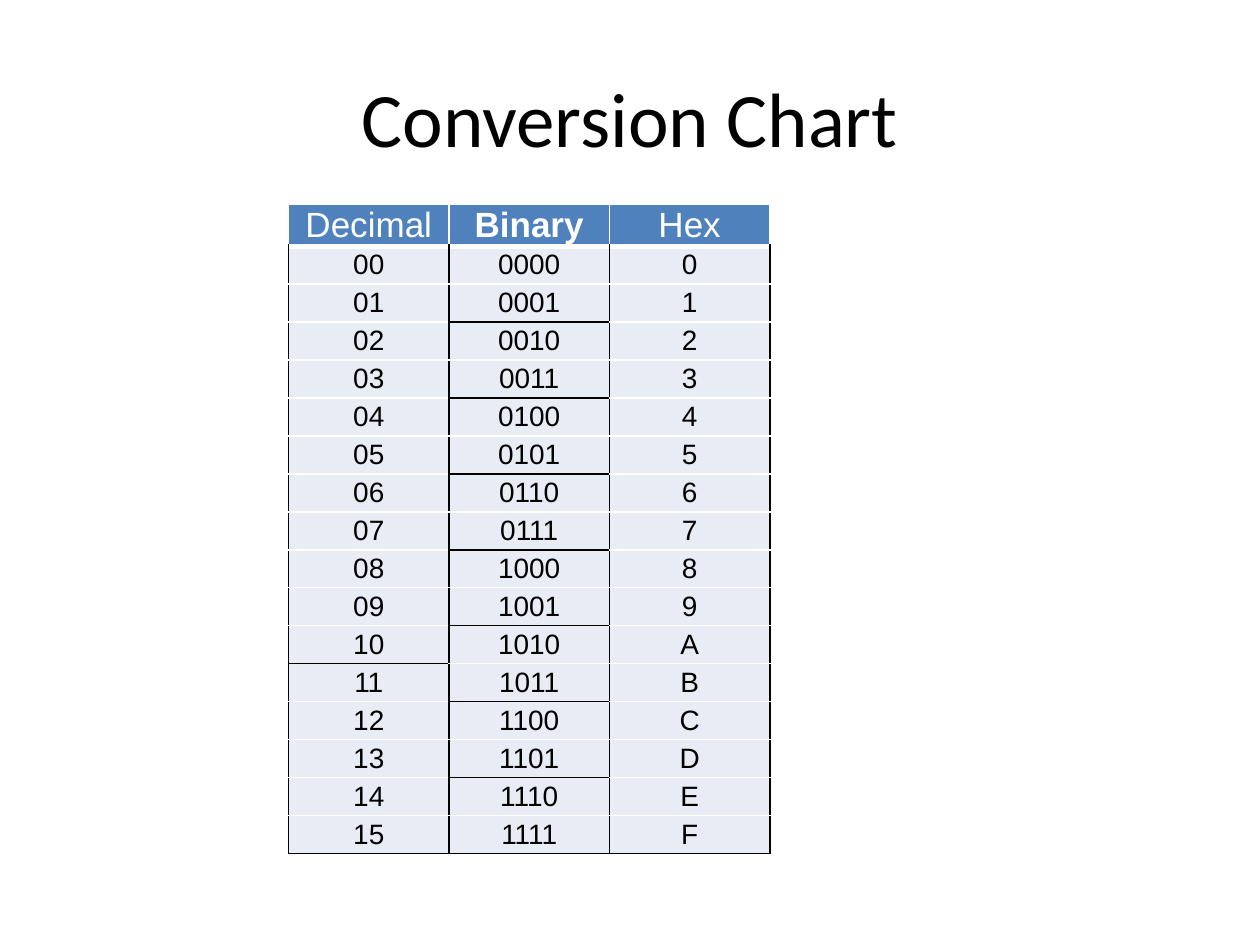
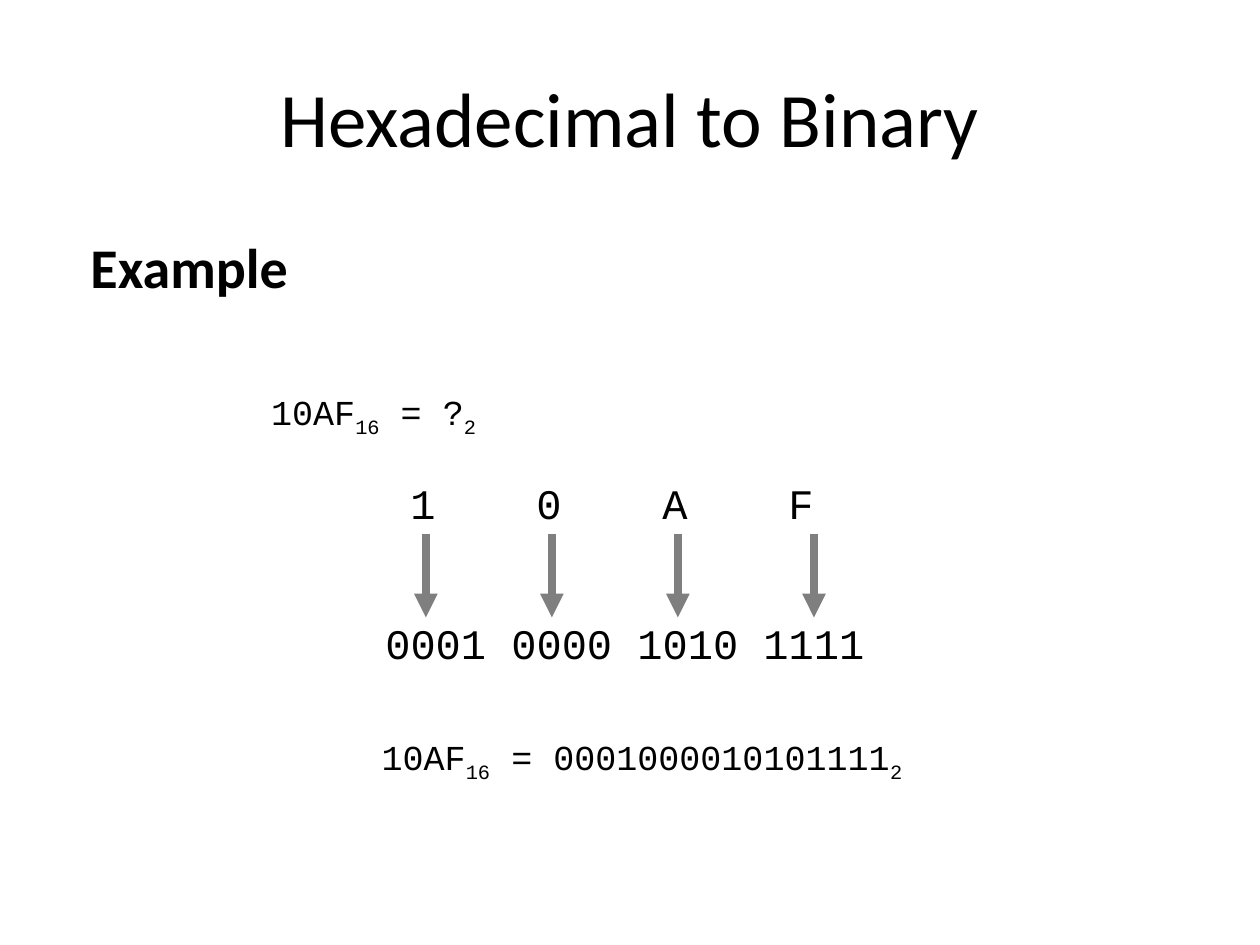
from dataclasses import dataclass

import lxml.etree
import pptx
import pptx.dml.color
import pptx.enum.shapes
import pptx.enum.text
import pptx.oxml.ns
import pptx.util

ALIGN = pptx.enum.text.PP_ALIGN
ANCHOR = pptx.enum.text.MSO_ANCHOR


@dataclass(frozen=True)
class Theme:
    ink: str = "000000"
    paper: str = "FFFFFF"
    header_fill: str = "4F81BD"
    body_fill: str = "E8ECF4"
    arrow: str = "7F7F7F"
    title_font: str = "Calibri"
    table_font: str = "Arial"
    code_font: str = "Courier New"
    title_size: float = 44
    heading_size: float = 32
    digit_size: float = 24
    equation_size: float = 20
    header_size: float = 20
    cell_size: float = 16
    thin_line: float = 1
    header_line: float = 3
    arrow_line: float = 4.5


THEME = Theme()

# The slide is a grid of 100 columns by 75 rows
SLIDE_WIDTH = pptx.util.Inches(10)
SLIDE_HEIGHT = pptx.util.Inches(7.5)
COLUMNS, ROWS = 100, 75


@dataclass(frozen=True)
class Area:
    left: float
    top: float
    width: float
    height: float


@dataclass(frozen=True)
class Style:
    font: str
    size: float
    color: str = THEME.ink
    bold: bool = False


@dataclass(frozen=True)
class Equation:
    area: Area
    answer: str


@dataclass(frozen=True)
class Edge:
    color: str
    width: float = THEME.thin_line


TITLE_AREA = Area(5, 3, 90, 12.5)
TITLE_STYLE = Style(THEME.title_font, THEME.title_size)
HEADING_STYLE = Style(THEME.title_font, THEME.heading_size, bold=True)
DIGIT_STYLE = Style(THEME.code_font, THEME.digit_size)
EQUATION_STYLE = Style(THEME.code_font, THEME.equation_size)
CELL_STYLE = Style(THEME.table_font, THEME.cell_size)

BLACK_EDGE = Edge(THEME.ink)
WHITE_EDGE = Edge(THEME.paper)
HEADER_EDGE = Edge(THEME.paper, THEME.header_line)

# Conversion table
TABLE_AREA = Area(22.9, 16.2, 38.2, 51.5)
HEADER_HEIGHT = 3.3
HEADERS = ("Decimal", "Binary", "Hex")
VALUES = range(16)

# Worked example
HEX_DIGITS = "10AF"
DIGIT_PITCH = 10
FIRST_DIGIT = 2
ARROW_COLUMNS = (33.8, 43.8, 53.8, 64.6)
ARROW_TOP, ARROW_BOTTOM = 42.4, 49
EQUATIONS = (
    Equation(Area(18.4, 30.5, 22.5, 4.4), "?"),
    Equation(Area(24.7, 57.9, 52.5, 4.4), "".join(f"{int(digit, 16):04b}" for digit in HEX_DIGITS)),
)


def across(columns: float) -> int:
    return round(SLIDE_WIDTH * columns / COLUMNS)


def down(rows: float) -> int:
    return round(SLIDE_HEIGHT * rows / ROWS)


def place(area: Area) -> tuple[int, int, int, int]:
    return across(area.left), down(area.top), across(area.width), down(area.height)


def rgb(color: str) -> pptx.dml.color.RGBColor:
    return pptx.dml.color.RGBColor.from_string(color)


def add_element(parent, tag: str, **attributes: str):
    return lxml.etree.SubElement(parent, pptx.oxml.ns.qn(tag), attributes)


def style_paragraph(paragraph, style: Style, align=ALIGN.LEFT) -> None:
    paragraph.alignment = align
    font = paragraph.font
    font.name, font.size, font.bold = style.font, pptx.util.Pt(style.size), style.bold
    font.color.rgb = rgb(style.color)


def add_text_frame(slide, area: Area, anchor=ANCHOR.TOP):
    frame = slide.shapes.add_textbox(*place(area)).text_frame
    frame.word_wrap = True
    frame.vertical_anchor = anchor
    return frame


def add_titled_slide(presentation, title: str):
    slide = presentation.slides.add_slide(presentation.slide_layouts[6])
    paragraph = add_text_frame(slide, TITLE_AREA, ANCHOR.MIDDLE).paragraphs[0]
    paragraph.text = title
    style_paragraph(paragraph, TITLE_STYLE, ALIGN.CENTER)
    return slide


def fill_cell(cell, text: str, style: Style, fill: str, edges: dict[str, Edge]) -> None:
    cell.margin_left = cell.margin_right = cell.margin_top = cell.margin_bottom = 0
    cell.vertical_anchor = ANCHOR.MIDDLE
    properties = cell._tc.get_or_add_tcPr()
    for side in "LRTB":
        edge = edges[side]
        line = add_element(properties, f"a:ln{side}", w=str(pptx.util.Pt(edge.width)))
        add_element(add_element(line, "a:solidFill"), "a:srgbClr", val=edge.color)
    cell.fill.solid()
    cell.fill.fore_color.rgb = rgb(fill)
    paragraph = cell.text_frame.paragraphs[0]
    paragraph.text = text
    style_paragraph(paragraph, style, ALIGN.CENTER)


def edge_below(value: int, column: int) -> Edge:
    """Binary values are ruled off in pairs; two-digit decimals after 10."""
    if value < 0:
        return HEADER_EDGE
    ruled = (column == 1 and value % 2 == 1) or (column == 0 and value == 10)
    return BLACK_EDGE if ruled or value == VALUES[-1] else WHITE_EDGE


def add_conversion_table(slide) -> None:
    shape = slide.shapes.add_table(len(VALUES) + 1, len(HEADERS), *place(TABLE_AREA))
    table = shape.table
    table.first_row = table.horz_banding = False
    for column in table.columns:
        column.width = across(TABLE_AREA.width / len(HEADERS))
    for row in table.rows:
        row.height = down((TABLE_AREA.height - HEADER_HEIGHT) / len(VALUES))
    table.rows[0].height = down(HEADER_HEIGHT)

    # Header row
    header_edges = dict.fromkeys("LRT", WHITE_EDGE) | {"B": HEADER_EDGE}
    for column, header in enumerate(HEADERS):
        style = Style(THEME.table_font, THEME.header_size, THEME.paper, header == "Binary")
        fill_cell(table.cell(0, column), header, style, THEME.header_fill, header_edges)

    # One row for each value
    for value in VALUES:
        for column, text in enumerate((f"{value:02d}", f"{value:04b}", f"{value:X}")):
            edges = {
                "L": BLACK_EDGE,
                "R": BLACK_EDGE,
                "T": edge_below(value - 1, column),
                "B": edge_below(value, column),
            }
            fill_cell(table.cell(value + 1, column), text, CELL_STYLE, THEME.body_fill, edges)


def add_heading(slide, text: str) -> None:
    paragraph = add_text_frame(slide, Area(5, 18, 90, 49)).paragraphs[0]
    paragraph.text = text
    properties = paragraph._p.get_or_add_pPr()
    properties.set("marL", str(across(5)))
    properties.set("indent", str(across(-3.8)))
    style_paragraph(paragraph, HEADING_STYLE)


def add_equation(slide, equation: Equation) -> None:
    paragraph = add_text_frame(slide, equation.area).paragraphs[0]
    for text, subscript in ((HEX_DIGITS, "16"), (f" = {equation.answer}", "2")):
        paragraph.add_run().text = text
        base = paragraph.add_run()
        base.text = subscript
        base._r.get_or_add_rPr().set("baseline", "-25000")
    style_paragraph(paragraph, EQUATION_STYLE, ALIGN.CENTER)


def add_digit_rows(slide) -> None:
    frame = add_text_frame(slide, Area(29.6, 37.4, 41.7, 17))
    digits, groups = frame.paragraphs[0], frame.add_paragraph()
    digits.text = "".join(f"\t{digit}" for digit in HEX_DIGITS)
    tabs = add_element(digits._p.get_or_add_pPr(), "a:tabLst")
    for index in range(len(HEX_DIGITS)):
        add_element(tabs, "a:tab", pos=str(across(FIRST_DIGIT + index * DIGIT_PITCH)), algn="l")
    groups.text = " ".join(f"{int(digit, 16):04b}" for digit in HEX_DIGITS)
    groups.space_before = pptx.util.Pt(51)
    for paragraph in (digits, groups):
        style_paragraph(paragraph, DIGIT_STYLE)


def add_arrow(slide, column: float) -> None:
    arrow = slide.shapes.add_connector(
        pptx.enum.shapes.MSO_CONNECTOR.STRAIGHT,
        across(column), down(ARROW_TOP), across(column), down(ARROW_BOTTOM),
    )
    arrow.line.color.rgb = rgb(THEME.arrow)
    arrow.line.width = pptx.util.Pt(THEME.arrow_line)
    add_element(arrow.line._get_or_add_ln(), "a:tailEnd", type="triangle")
    add_element(arrow._element.spPr, "a:effectLst")


def main() -> None:
    presentation = pptx.Presentation()
    presentation.slide_width, presentation.slide_height = SLIDE_WIDTH, SLIDE_HEIGHT

    # Slide 1: conversion chart
    add_conversion_table(add_titled_slide(presentation, "Conversion Chart"))

    # Slide 2: worked example
    slide = add_titled_slide(presentation, "Hexadecimal to Binary")
    add_heading(slide, "Example")
    add_digit_rows(slide)
    for column in ARROW_COLUMNS:
        add_arrow(slide, column)
    for equation in EQUATIONS:
        add_equation(slide, equation)

    presentation.save("out.pptx")


if __name__ == "__main__":
    main()
